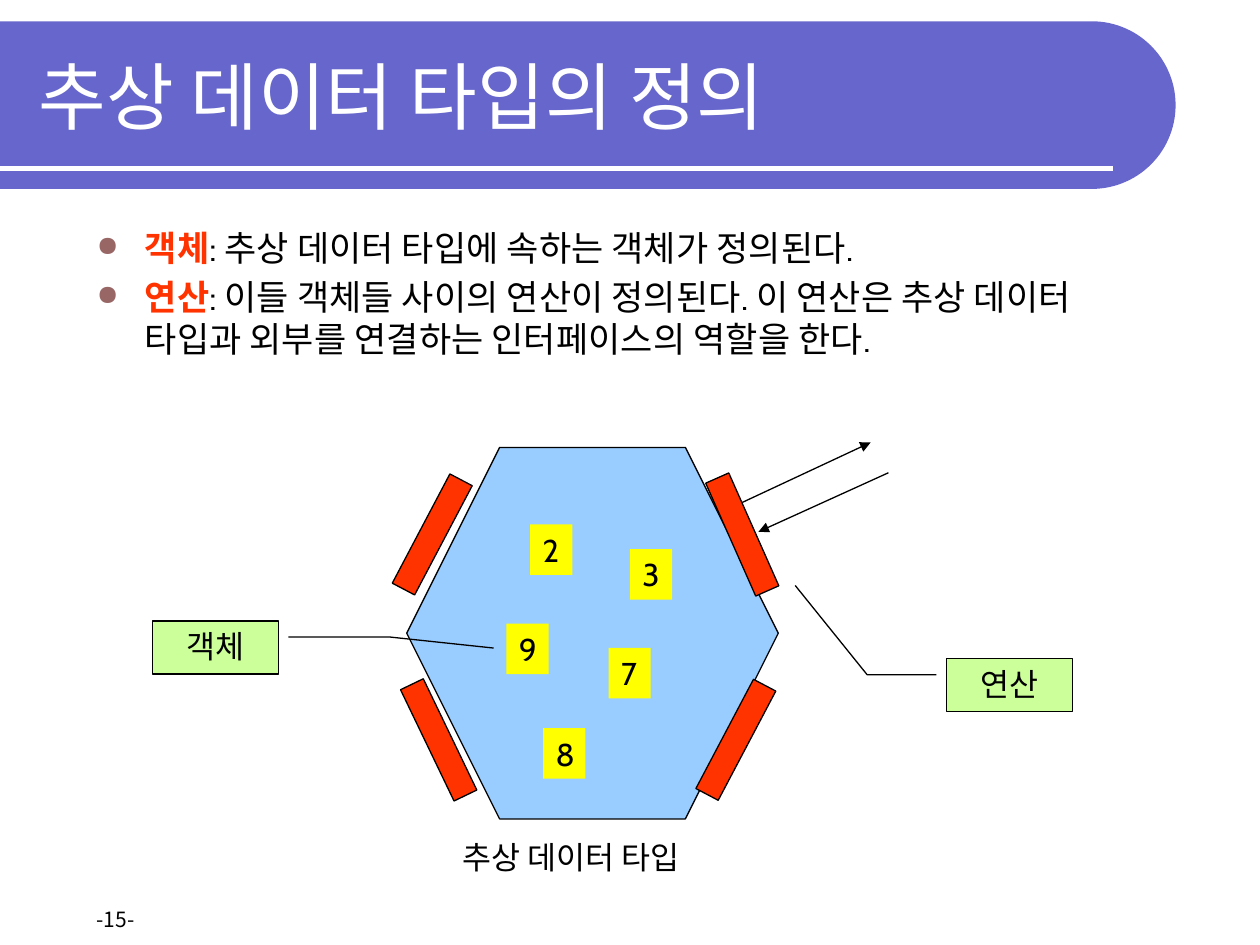
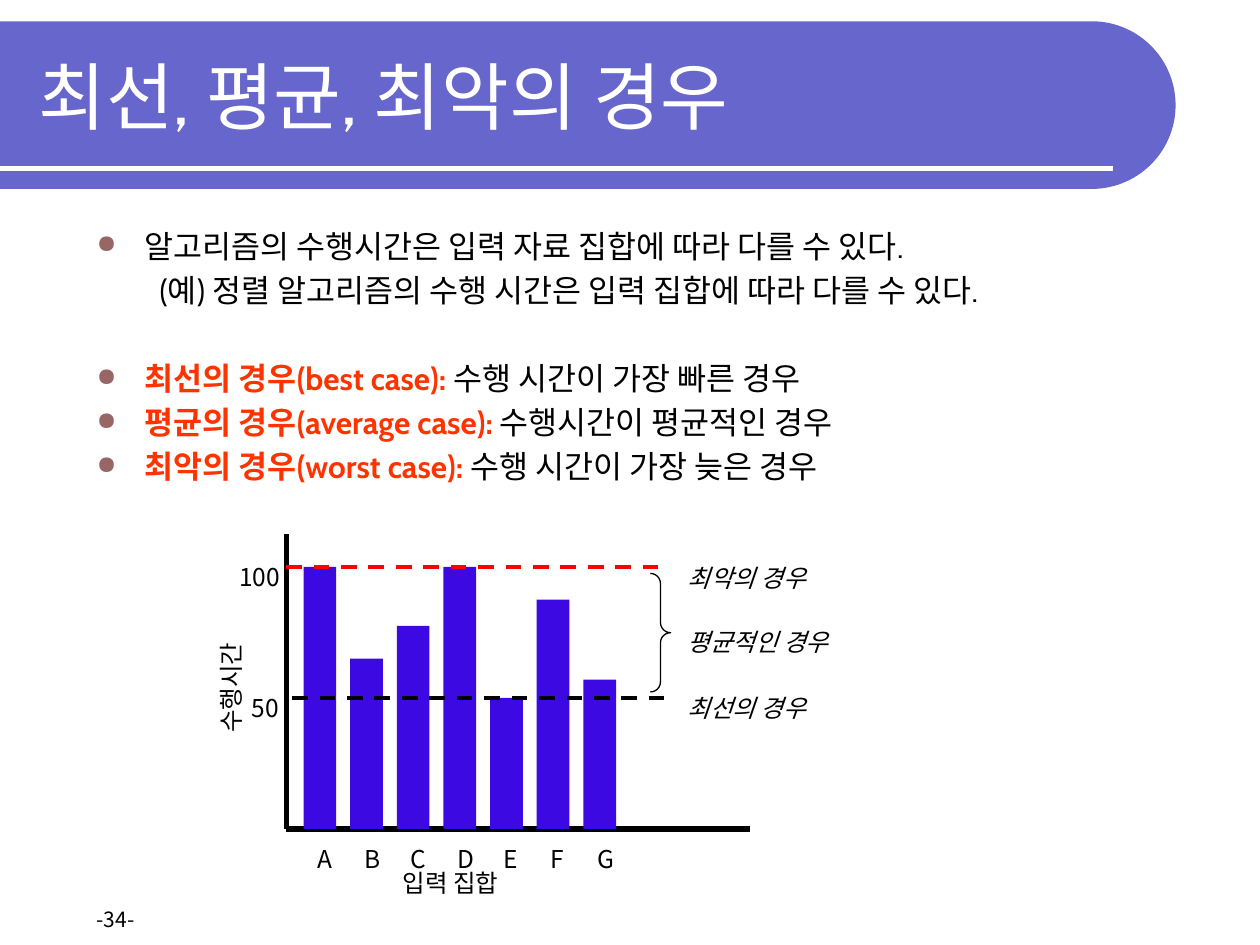
from dataclasses import dataclass
from math import cos, pi, sin

from lxml import etree
from pptx import Presentation
from pptx import util as u
from pptx.dml.color import RGBColor
from pptx.enum import dml, shapes, text
from pptx.oxml.ns import qn


@dataclass(frozen=True)
class Theme:
    latin: str = "Cabin"
    korean: str = "Noto Sans CJK KR"
    black: str = "000000"
    white: str = "FFFFFF"
    band: str = "6666CC"
    accent: str = "FF3300"
    bullet: str = "996666"
    hexagon: str = "99CCFF"
    tile: str = "FFFF00"
    callout: str = "CCFF99"
    bar: str = "3D09E3"
    worst: str = "FF0000"
    title_size: float = 42
    large: float = 20
    medium: float = 18
    small: float = 14
    footer: float = 12
    thin: float = 0.75
    dashed: float = 2.25
    thick: float = 3


THEME = Theme()
SHAPE = shapes.MSO_SHAPE


def rgb(value):
    return RGBColor.from_string(value)


def box(left, top, width, height):
    return [u.Cm(length) for length in (left, top, width, height)]


# Text
def add_run(paragraph, words, size, font=THEME.latin, color=THEME.black,
            bold=False, italic=False):
    run = paragraph.add_run()
    run.text = words
    run.font.size = u.Pt(size)
    run.font.name = font
    run.font.bold = bold
    run.font.italic = italic
    run.font.color.rgb = rgb(color)
    east_asian = etree.SubElement(run._r.get_or_add_rPr(), qn("a:ea"))
    east_asian.set("typeface", font)


def add_label(slide, left, top, width, height, words, size,
              italic=False, rotation=0):
    label = slide.shapes.add_textbox(*box(left, top, width, height))
    label.rotation = rotation
    frame = label.text_frame
    frame.word_wrap = False
    frame.auto_size = text.MSO_AUTO_SIZE.SHAPE_TO_FIT_TEXT
    add_run(frame.paragraphs[0], words, size, THEME.korean, italic=italic)


def format_paragraph(paragraph, margin, indent, bulleted):
    properties = paragraph._p.get_or_add_pPr()
    properties.set("marL", str(u.Cm(margin)))
    properties.set("indent", str(u.Cm(indent)))
    if not bulleted:
        etree.SubElement(properties, qn("a:buNone"))
        return
    color = etree.SubElement(properties, qn("a:buClr"))
    etree.SubElement(color, qn("a:srgbClr")).set("val", THEME.bullet)
    etree.SubElement(properties, qn("a:buSzPct")).set("val", "80000")
    etree.SubElement(properties, qn("a:buChar")).set("char", "●")


def add_body(slide, items, size):
    """Each item is (highlighted term, plain words, kind, extra gap in points)."""
    body = slide.shapes.add_textbox(*box(1.7, 4.45, 22, 13.28))
    frame = body.text_frame
    frame.word_wrap = True
    for index, (term, words, kind, gap) in enumerate(items):
        paragraph = frame.paragraphs[0] if index == 0 else frame.add_paragraph()
        if index:
            paragraph.space_before = u.Pt(0.2 * size + gap)
        if kind == "bullet":
            format_paragraph(paragraph, 0.97, -0.97, True)
        else:
            format_paragraph(paragraph, 2.06, -0.79, False)
        if term:
            add_run(paragraph, term, size, color=THEME.accent, bold=True)
        add_run(paragraph, words, size)


# Shapes and lines
def add_shape(slide, kind, bounds, fill=None, line=None, rotation=0, adjustments=()):
    shape = slide.shapes.add_shape(kind, *box(*bounds))
    shape.shadow.inherit = False
    shape.rotation = rotation
    for index, value in enumerate(adjustments):
        shape.adjustments[index] = value
    if fill:
        shape.fill.solid()
        shape.fill.fore_color.rgb = rgb(fill)
    else:
        shape.fill.background()
    if line:
        shape.line.color.rgb = rgb(line)
        shape.line.width = u.Pt(THEME.thin)
    else:
        shape.line.fill.background()
    return shape


def add_line(slide, start, end, width, color=THEME.black, dashed=False, arrow=False):
    ends = [u.Cm(length) for length in (*start, *end)]
    line = slide.shapes.add_connector(shapes.MSO_CONNECTOR.STRAIGHT, *ends)
    line.line.color.rgb = rgb(color)
    line.line.width = u.Pt(width)
    if dashed:
        line.line.dash_style = dml.MSO_LINE.DASH
    properties = line._element.spPr
    if arrow:
        outline = properties.find(qn("a:ln"))
        etree.SubElement(outline, qn("a:tailEnd")).set("type", "triangle")
    etree.SubElement(properties, qn("a:effectLst"))


def add_tile(slide, left, top, digit):
    tile = add_shape(slide, SHAPE.RECTANGLE, (left, top, 0.85, 1.02), THEME.tile)
    tile.text_frame.word_wrap = False
    paragraph = tile.text_frame.paragraphs[0]
    paragraph.alignment = text.PP_ALIGN.LEFT
    add_run(paragraph, digit, THEME.medium)


def add_callout(slide, left, top, words, leader):
    callout = add_shape(slide, SHAPE.LINE_CALLOUT_2, (left, top, 2.54, 1.07),
                        THEME.callout, THEME.black, adjustments=leader)
    frame = callout.text_frame
    frame.vertical_anchor = text.MSO_ANCHOR.TOP
    paragraph = frame.paragraphs[0]
    paragraph.alignment = text.PP_ALIGN.CENTER
    add_run(paragraph, words, THEME.medium, THEME.korean)


# Parts shared by the slides
def add_band(slide):
    center_x, center_y, radius, steps = 22.01, 2.12, 1.69, 60
    angles = [pi * step / steps - pi / 2 for step in range(steps + 1)]
    outline = [(center_x + radius * cos(angle), center_y + radius * sin(angle))
               for angle in angles]
    outline.append((0, center_y + radius))
    builder = slide.shapes.build_freeform(0, u.Cm(center_y - radius))
    builder.add_line_segments([(u.Cm(x), u.Cm(y)) for x, y in outline])
    band = builder.convert_to_shape()
    band.shadow.inherit = False
    band.fill.solid()
    band.fill.fore_color.rgb = rgb(THEME.band)
    band.line.fill.background()
    add_line(slide, (0, 3.39), (22.43, 3.39), THEME.thick, THEME.white)


def add_base_slide(presentation, title, number):
    slide = presentation.slides.add_slide(presentation.slide_layouts[6])
    add_band(slide)
    add_label(slide, 1.7, 18.16, 1.6, 0.76, f"-{number}-", THEME.footer)
    heading = slide.shapes.add_textbox(*box(0.53, 0.64, 22.28, 2.54))
    frame = heading.text_frame
    frame.word_wrap = True
    frame.vertical_anchor = text.MSO_ANCHOR.MIDDLE
    add_run(frame.paragraphs[0], title, THEME.title_size, color=THEME.white)
    return slide


# Abstract data type diagram
def add_data_type_diagram(slide):
    add_shape(slide, SHAPE.HEXAGON, (8.2, 9.02, 7.49, 7.49),
              THEME.hexagon, THEME.black, adjustments=[0.25])
    for left, top, digit in [(10.69, 10.57, "2"), (12.7, 11.07, "3"),
                             (10.21, 12.57, "9"), (12.27, 13.06, "7"),
                             (10.95, 14.68, "8")]:
        add_tile(slide, left, top, digit)

    # Operations on the edges
    for left, top, rotation in [(14.71, 9.53, 336.1), (14.58, 13.67, 27.8),
                                (8.46, 9.53, 27.8), (8.59, 13.67, 334.3)]:
        add_shape(slide, SHAPE.RECTANGLE, (left, top, 0.51, 2.49),
                  THEME.accent, THEME.black, rotation)
    for start, end in [((17.91, 9.53), (15.29, 10.72)),
                       ((14.96, 10.13), (17.55, 8.92))]:
        add_line(slide, start, end, THEME.thin, arrow=True)

    # Callouts and caption
    add_callout(slide, 19.08, 13.28, "연산", [0.3, -0.08, 0.3, -0.63, -1.38, -1.2])
    add_callout(slide, 3.07, 12.52, "객체", [0.3, 1.08, 0.3, 1.88, 0.51, 2.71])
    add_label(slide, 9.07, 16.76, 5.38, 1.02, "추상 데이터 타입", THEME.medium)


# Running time by input set
def add_running_time_diagram(slide):
    axis_x, base_y, full_height = 5.77, 16.71, 5.28
    add_line(slide, (axis_x, 10.77), (axis_x, base_y), THEME.thick)
    add_line(slide, (axis_x, base_y), (15.11, base_y), THEME.thick)

    times = {"A": 100, "B": 65, "C": 77.5, "D": 100, "E": 50, "F": 87.5, "G": 57}
    for index, (name, time) in enumerate(times.items()):
        height = full_height * time / 100
        add_shape(slide, SHAPE.RECTANGLE,
                  (6.12 + 0.94 * index, base_y - height, 0.66, height), THEME.bar)
        add_label(slide, 6.15 + 0.94 * index, 16.89, 0.83, 0.84, name, THEME.small)

    # Best and worst levels
    for start_x, time, color in [(5.89, 50, THEME.black), (axis_x, 100, THEME.worst)]:
        level = base_y - full_height * time / 100
        add_line(slide, (start_x, level), (start_x + 7.62, level),
                 THEME.dashed, color, dashed=True)
    add_shape(slide, SHAPE.RIGHT_BRACE, (13.11, 11.56, 0.41, 2.39),
              line=THEME.black, adjustments=[0.5, 0.5])
    for top, width, words in [(11.23, 3.15, "최악의 경우"),
                              (12.52, 3.63, "평균적인 경우"),
                              (13.84, 3.15, "최선의 경우")]:
        add_label(slide, 13.61, top, width, 0.84, words, THEME.small, italic=True)

    # Axis titles and values
    add_label(slide, 7.87, 17.37, 2.64, 0.84, "입력 집합", THEME.small)
    add_label(slide, 3.4, 13.36, 2.49, 0.84, "수행시간", THEME.small, rotation=270)
    add_label(slide, 4.57, 11.2, 1.5, 0.84, "100", THEME.small)
    add_label(slide, 4.83, 13.84, 1.17, 0.84, "50", THEME.small)


def main():
    presentation = Presentation()
    presentation.slide_width = u.Cm(25.4)
    presentation.slide_height = u.Cm(19.05)

    slide = add_base_slide(presentation, "추상 데이터 타입의 정의", 15)
    add_body(slide, [
        ("객체", ": 추상 데이터 타입에 속하는 객체가 정의된다.", "bullet", 0),
        ("연산", ": 이들 객체들 사이의 연산이 정의된다. 이 연산은 추상 데이터 타입과 "
         "외부를 연결하는 인터페이스의 역할을 한다.", "bullet", 0),
    ], THEME.large)
    add_data_type_diagram(slide)

    slide = add_base_slide(presentation, "최선, 평균, 최악의 경우", 34)
    add_body(slide, [
        ("", "알고리즘의 수행시간은 입력 자료 집합에 따라 다를 수 있다.", "bullet", 0),
        ("", "(예) 정렬 알고리즘의 수행 시간은 입력 집합에 따라 다를 수 있다.", "example", 0),
        ("최선의 경우(best case): ", "수행 시간이 가장 빠른 경우", "bullet", 25.2),
        ("평균의 경우(average case): ", "수행시간이 평균적인 경우", "bullet", 0),
        ("최악의 경우(worst case): ", "수행 시간이 가장 늦은 경우", "bullet", 0),
    ], THEME.medium)
    add_running_time_diagram(slide)

    presentation.save("out.pptx")


if __name__ == "__main__":
    main()
